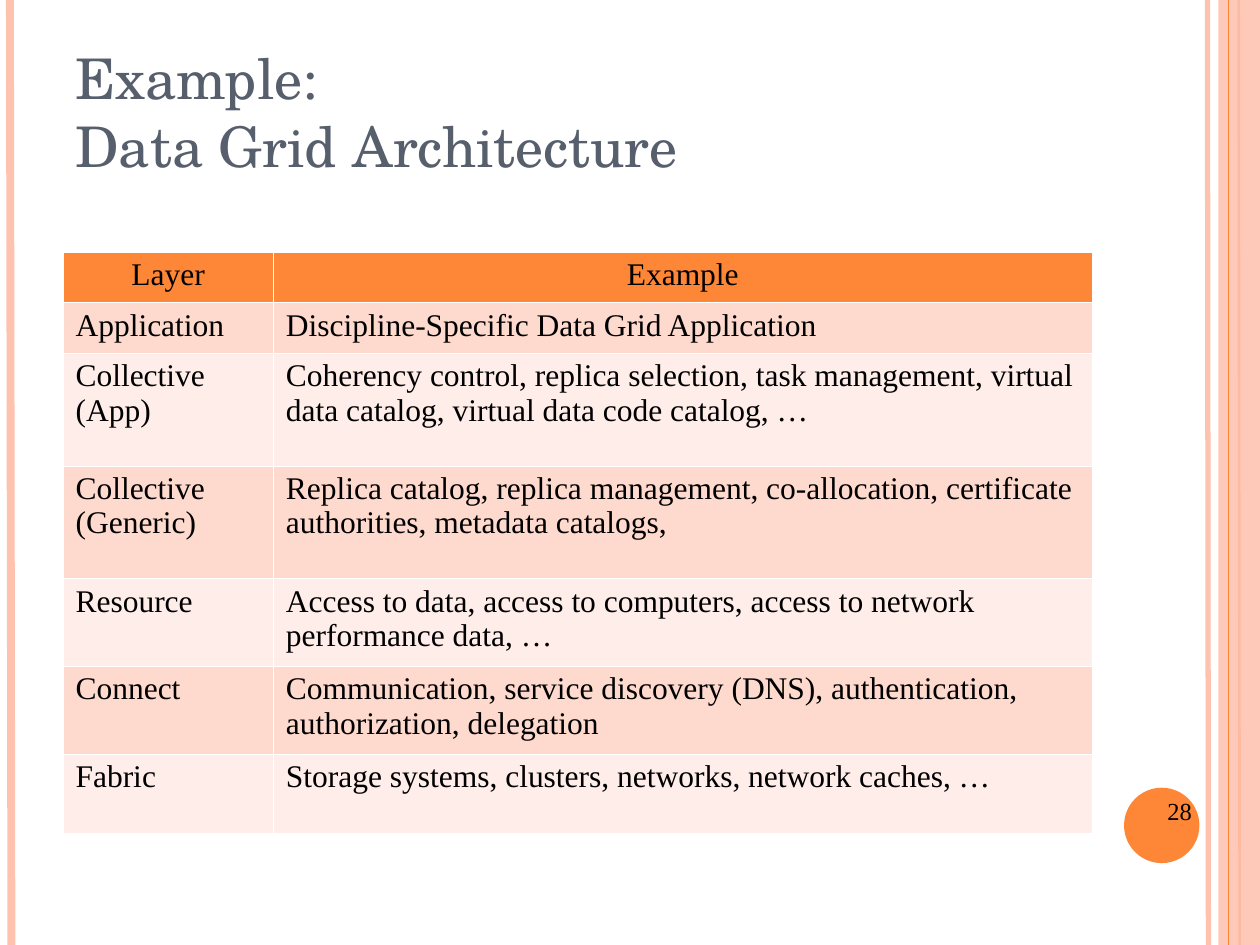
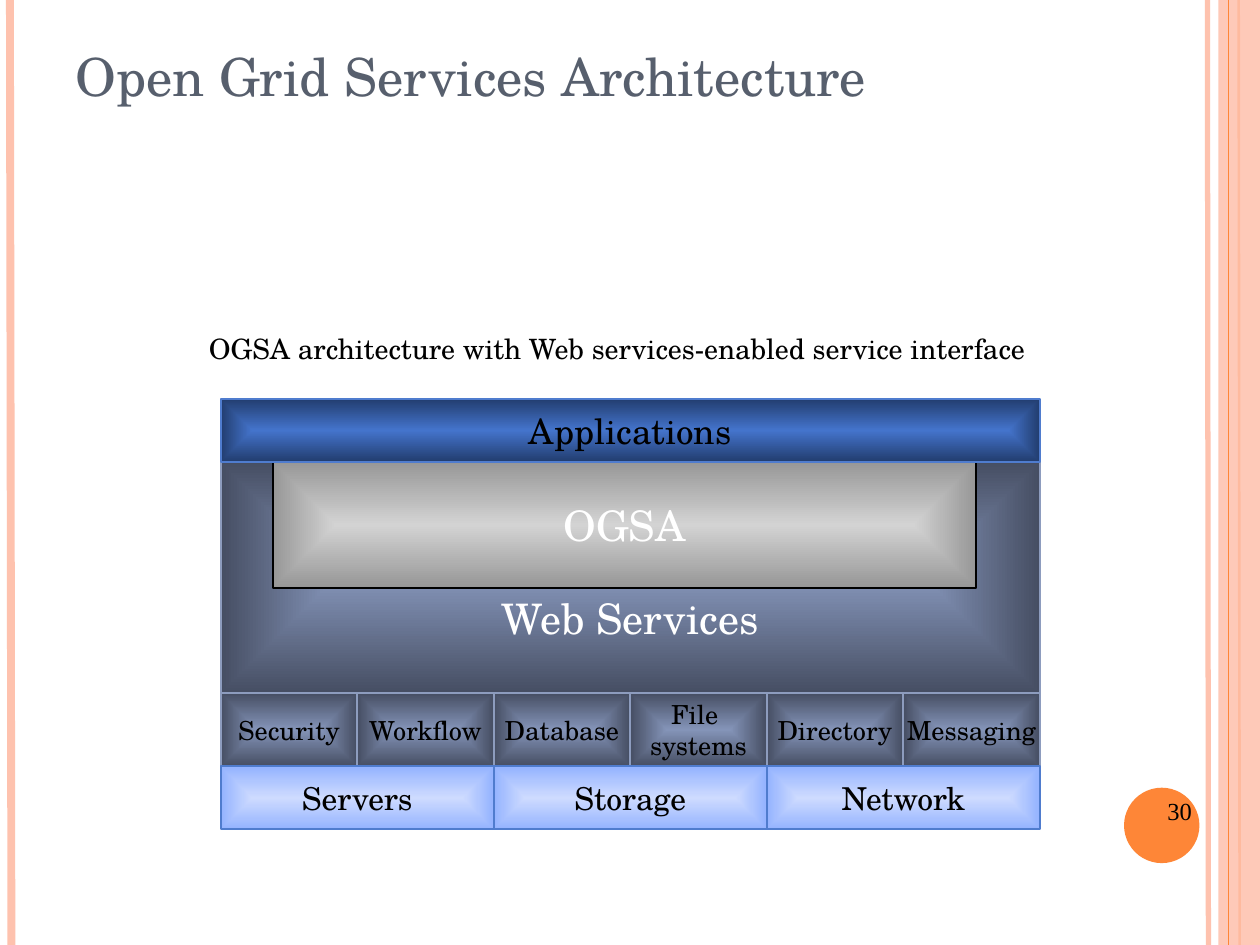
from lxml.etree import SubElement
from pptx import Presentation
from pptx.dml.color import RGBColor
from pptx.enum.shapes import MSO_CONNECTOR, MSO_SHAPE
from pptx.enum.text import MSO_ANCHOR, PP_ALIGN
from pptx.oxml.ns import qn
from pptx.util import Cm, Pt

color = RGBColor.from_string
ORANGE, PEACH, SLATE = "FE8637", "FEC2AE", "575F6D"
BLACK, WHITE = "000000", "FFFFFF"
SERIF, ROMAN = "TeX Gyre Schola", "Times New Roman"
STEEL = ("8494B8", "464E63", "8D9CBE")
BLUE = ("4474CC", "223D6F", "4F7CCE")
SKY = ("CEDBFF", "94B3FF", "4F7CCE")
GRAY = ("D3D3D3", "979797", BLACK)


def write(frame, lines, size, font, ink=BLACK, align=PP_ALIGN.LEFT):
    """Fill a text frame with one paragraph per line and return the paragraphs."""
    for number, line in enumerate(lines):
        para = frame.add_paragraph() if number else frame.paragraphs[0]
        para.alignment = align
        span = para.add_run()
        span.text = line
        span.font.size = Pt(size)
        span.font.name = font
        span.font.color.rgb = color(ink)
    return frame.paragraphs


def add_block(page, place, lines, size, palette, ink=BLACK):
    """Draw a bevelled block; palette is centre, edge and outline colour."""
    box = page.shapes.add_shape(MSO_SHAPE.RECTANGLE, *[Cm(value) for value in place])
    box.shadow.inherit = False
    box.fill.gradient()
    for stop, shade in zip(box.fill.gradient_stops, palette):
        stop.color.rgb = color(shade)
    gradient = box._element.spPr.find(qn("a:gradFill"))
    gradient.remove(gradient.find(qn("a:lin")))
    focus = SubElement(gradient, qn("a:path"), path="rect")
    SubElement(focus, qn("a:fillToRect"), l="50000", t="50000", r="50000", b="50000")
    box.line.color.rgb = color(palette[2])
    box.line.width = Pt(1)
    frame = box.text_frame
    frame.word_wrap = False
    frame.vertical_anchor = MSO_ANCHOR.MIDDLE
    write(frame, lines, size, SERIF, ink, PP_ALIGN.CENTER)
    return box


deck = Presentation()
deck.slide_width, deck.slide_height = Cm(25.4), Cm(19.05)

# Frame, title and page number shared by the slides
pages = []
for title, title_size, page_number in [
    (["Example:", "Data Grid Architecture"], 32, "28"),
    (["Open Grid Services Architecture"], 30, "30"),
]:
    page = deck.slides.add_slide(deck.slide_layouts[6])
    pages.append(page)

    side_band = page.shapes.add_shape(
        MSO_SHAPE.RECTANGLE, Cm(24.56), 0, Cm(0.84), deck.slide_height)
    number_disc = page.shapes.add_shape(
        MSO_SHAPE.OVAL, Cm(22.66), Cm(15.88), Cm(1.52), Cm(1.52))
    for ornament, shade in [(side_band, PEACH), (number_disc, ORANGE)]:
        ornament.shadow.inherit = False
        ornament.fill.solid()
        ornament.fill.fore_color.rgb = color(shade)
        ornament.line.fill.background()
    band_color = side_band._element.spPr.find(qn("a:solidFill"))[0]
    SubElement(band_color, qn("a:alpha"), val="87000")

    for top_x, bottom_x, shade, width in [
        (24.34, 24.36, PEACH, 3),
        (0.2, 0.23, PEACH, 4.5),
        (24.97, 24.99, ORANGE, 1.5),
        (24.77, 24.77, ORANGE, 0.75),
    ]:
        stripe = page.shapes.add_connector(
            MSO_CONNECTOR.STRAIGHT, Cm(top_x), 0, Cm(bottom_x), deck.slide_height)
        stripe.line.color.rgb = color(shade)
        stripe.line.width = Pt(width)
        SubElement(stripe._element.spPr, qn("a:effectLst"))
        # The translucent band veils the stripes it covers
        page.shapes._spTree.remove(stripe._element)
        position = page.shapes._spTree.index(
            number_disc._element if width == 0.75 else side_band._element)
        page.shapes._spTree.insert(position, stripe._element)

    title_box = page.shapes.add_textbox(Cm(1.27), Cm(0.76), Cm(20.75), Cm(3.18))
    title_box.text_frame.word_wrap = True
    write(title_box.text_frame, title, title_size, SERIF, SLATE)

    number_box = page.shapes.add_textbox(Cm(22.58), Cm(15.93), Cm(1.7), Cm(1.45))
    number_box.text_frame.word_wrap = True
    write(number_box.text_frame, [page_number], 14, ROMAN, align=PP_ALIGN.RIGHT)

table_page, stack_page = pages

# Data grid layers
layers = [
    ("Layer", "Example", 1.02),
    ("Application", "Discipline-Specific Data Grid Application", 1.02),
    ("Collective (App)", "Coherency control, replica selection, task management, "
     "virtual data catalog, virtual data code catalog, …", 2.27),
    ("Collective (Generic)", "Replica catalog, replica management, co-allocation, "
     "certificate authorities, metadata catalogs,", 2.27),
    ("Resource", "Access to data, access to computers, access to network "
     "performance data, …", 1.77),
    ("Connect", "Communication, service discovery (DNS), authentication, "
     "authorization, delegation", 1.77),
    ("Fabric", "Storage systems, clusters, networks, network caches, …", 1.59),
]
table = table_page.shapes.add_table(
    len(layers), 2, Cm(1.27), Cm(5.08), Cm(20.75), Cm(11.71)).table
table.columns[0].width, table.columns[1].width = Cm(4.24), Cm(16.51)
for row, (*texts, height) in enumerate(layers):
    table.rows[row].height = Cm(height)
    for column, text in enumerate(texts):
        cell = table.cell(row, column)
        cell.fill.solid()
        cell.fill.fore_color.rgb = color(
            ORANGE if row == 0 else "FED9CD" if row % 2 else "FEEDE8")
        align = PP_ALIGN.LEFT if row else PP_ALIGN.CENTER
        para = write(cell.text_frame, [text], 18, ROMAN, align=align)[0]
        para.line_spacing = 0.98
        para.space_before = Pt(4.5)
        heavy_side = {0: "lnB", 1: "lnT"}.get(row)
        properties = cell._tc.get_or_add_tcPr()
        for order, side in enumerate(("lnL", "lnR", "lnT", "lnB")):
            width = Pt(0.75 if side == heavy_side else 0.23)
            border = SubElement(properties, qn(f"a:{side}"), w=str(width))
            border_fill = SubElement(border, qn("a:solidFill"))
            SubElement(border_fill, qn("a:srgbClr"), val=WHITE)
            properties.insert(order, border)

# Service stack
caption = stack_page.shapes.add_textbox(Cm(3.96), Cm(6.55), Cm(16.97), Cm(0.94))
caption.text_frame.word_wrap = False
caption.text_frame.vertical_anchor = MSO_ANCHOR.MIDDLE
write(caption.text_frame,
      ["OGSA architecture with Web services-enabled service interface"],
      16, SERIF, align=PP_ALIGN.CENTER)

stack_left, stack_width = 4.45, 16.51
web_services = add_block(stack_page, (stack_left, 9.31, stack_width, 4.66),
                         ["Web Services"], 24, STEEL, WHITE)
web_services.text_frame.margin_top = Cm(1.75)
add_block(stack_page, (5.5, 9.31, 14.18, 2.54), ["OGSA"], 24, GRAY, WHITE)
add_block(stack_page, (stack_left, 8.04, stack_width, 1.27), ["Applications"], 20, BLUE)

services = [["Security"], ["Workflow"], ["Database"],
            ["File ", "systems"], ["Directory"], ["Messaging"]]
resources = [["Servers"], ["Storage"], ["Network"]]
for labels, top, height, size, palette in [
    (services, 13.97, 1.48, 15, STEEL),
    (resources, 15.45, 1.27, 18, SKY),
]:
    width = stack_width / len(labels)
    for column, lines in enumerate(labels):
        place = (stack_left + column * width, top, width, height)
        add_block(stack_page, place, lines, size, palette)

deck.save("out.pptx")
